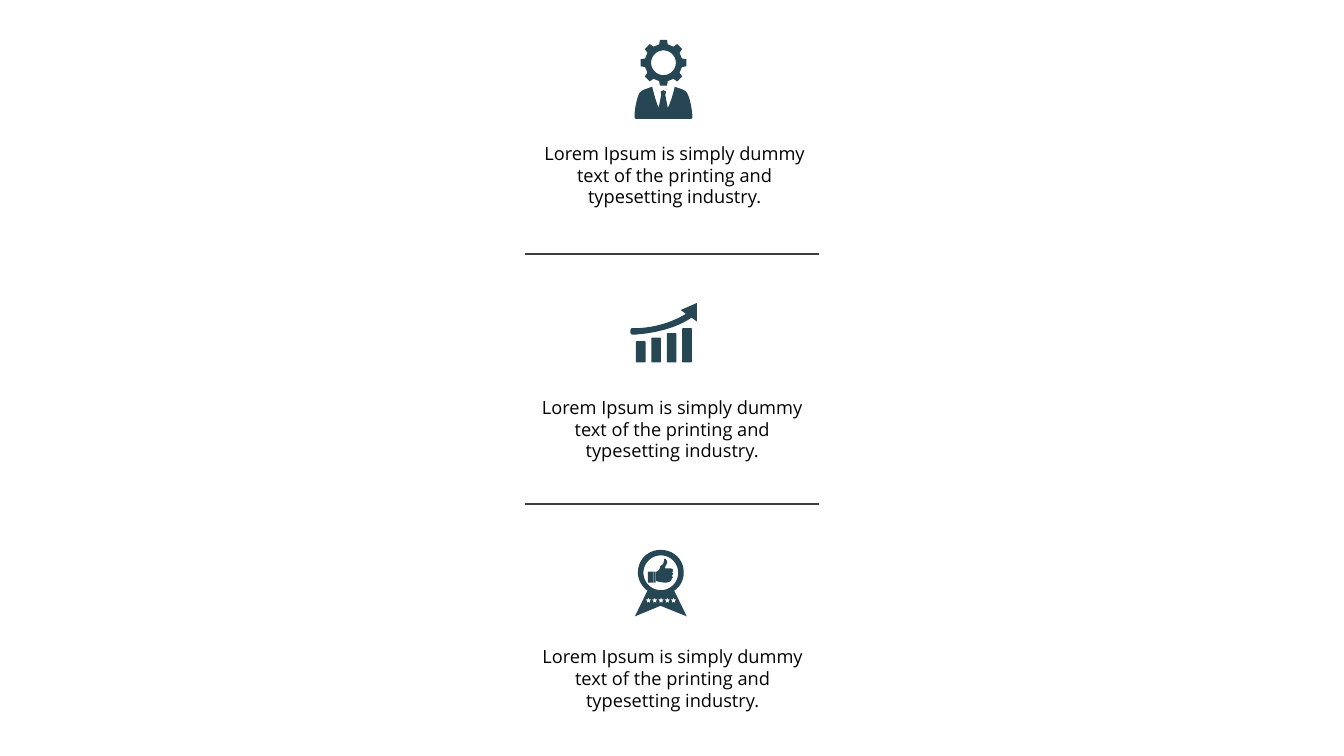
from math import cos, pi, sin

from pptx import Presentation
from pptx.dml.color import RGBColor
from pptx.enum.shapes import MSO_CONNECTOR
from pptx.enum.text import MSO_AUTO_SIZE, PP_ALIGN
from pptx.oxml.ns import qn
from pptx.util import Inches, Pt
from lxml.etree import SubElement

WIDTH, HEIGHT = Inches(26.67), Inches(15)
COLORS = {"icon": "264653", "rule": "3D3D3D", "text": "000000"}
BODY = "Lorem Ipsum is simply dummy text of the printing and typesetting industry."
TEXT_SPOTS = [(40.08, 18.47), (39.9, 52.07), (39.93, 85.07)]
RULE_ROWS = [33.6, 66.67]
DETAIL = 10
ICON_SCALE = Inches(1) / (100 * DETAIL)

SUIT = [
    (57, 100), (52, 103), (53, 109), (48, 135),
    (43, 124, 38, 105, 35, 93), (26, 97, 14, 98, 9, 107),
    (5, 116, 0, 136, 0, 152), (0, 155, 1, 157, 4, 157), (111, 157),
    (114, 157, 115, 155, 115, 152), (114, 136, 110, 116, 105, 107),
    (101, 98, 89, 97, 80, 93), (77, 105, 72, 124, 66, 135),
    (61, 109), (63, 103),
]
ARROW = [
    (7, 50), (7, 50, 59, 53, 111, 22), (101, 14), (133, 0), (133, 37),
    (122, 29), (122, 29, 89, 57, 10, 63), (10, 63, 1, 64, 1, 59),
    (1, 55, 0, 49, 7, 50),
]
RIBBON = [
    (78, 81), (90, 73, 97, 60, 97, 45), (97, 19, 77, 0, 51, 0),
    (26, 0, 6, 19, 6, 45), (6, 60, 14, 73, 25, 81),
    (0, 132), (51, 111), (103, 132),
]
THUMB = [
    (45, 63), (47, 63, 50, 64, 58, 65), (66, 65, 69, 64, 71, 61),
    (74, 60, 72, 58, 74, 56), (76, 56, 75, 54, 74, 52),
    (73, 50, 77, 48, 76, 47), (75, 46, 74, 45, 74, 44),
    (76, 42, 77, 42, 75, 39), (74, 37, 73, 37, 69, 37), (61, 37),
    (59, 37, 60, 33, 62, 30), (64, 27, 65, 24, 63, 21),
    (61, 17, 58, 17, 58, 19), (58, 22, 57, 28, 54, 30),
    (51, 31, 50, 33, 49, 38), (47, 42, 44, 43, 43, 43),
    (42, 43, 42, 45, 42, 47), (42, 60), (42, 62, 43, 62, 45, 63),
]


def col(share):
    return round(WIDTH * share / 100)


def row(share):
    return round(HEIGHT * share / 100)


def rgb(name):
    return RGBColor.from_string(COLORS[name])


def trace(outline, steps=10):
    points = []
    for node in outline:
        if len(node) == 2:
            points.append(node)
            continue
        ends = [points[-1], node[:2], node[2:4], node[4:]]
        for i in range(1, steps + 1):
            t = i / steps
            weights = [(1 - t) ** 3, 3 * t * (1 - t) ** 2, 3 * t * t * (1 - t), t ** 3]
            points.append(tuple(sum(w * e[k] for w, e in zip(weights, ends))
                                for k in (0, 1)))
    return points


def circle(cx, cy, r, n=60):
    return [(cx + r * cos(2 * pi * i / n), cy + r * sin(2 * pi * i / n))
            for i in range(n)]


def star(cx, cy, r):
    radii = (r, r * 0.45)
    return [(cx + radii[i % 2] * sin(pi * i / 5), cy - radii[i % 2] * cos(pi * i / 5))
            for i in range(10)]


def gear(cx, cy, teeth=8):
    tooth = [(-8.5, -36.5), (-7, -45.5), (7, -45.5), (8.5, -36.5)]
    angles = [2 * pi * i / teeth for i in range(teeth)]
    return [(cx + x * cos(a) - y * sin(a), cy + x * sin(a) + y * cos(a))
            for a in angles for x, y in tooth]


def rounded_bar(x, y, w, h, r):
    x2, y2 = x + w, y + h
    return trace([
        (x + r, y), (x2 - r, y), (x2, y, x2, y, x2, y + r),
        (x2, y2 - r), (x2, y2, x2, y2, x2 - r, y2),
        (x + r, y2), (x, y2, x, y2, x, y2 - r),
        (x, y + r), (x, y, x, y, x + r, y),
    ], steps=4)


def add_icon(shapes, left, top, contours):
    scaled = [[(x * DETAIL, y * DETAIL) for x, y in c] for c in contours]
    builder = shapes.build_freeform(*scaled[0][0], scale=ICON_SCALE)
    builder.add_line_segments(scaled[0][1:], close=True)
    for contour in scaled[1:]:
        builder.move_to(*contour[0])
        builder.add_line_segments(contour[1:], close=True)
    sp = builder.convert_to_shape(col(left), row(top))
    sp.shadow.inherit = False
    sp.fill.solid()
    sp.fill.fore_color.rgb = rgb("icon")
    sp.line.fill.background()


def add_manager(s):
    add_icon(s.shapes, 47.21, 5.27,
             [trace(SUIT), gear(57.5, 45.5), circle(57.5, 45.5, 24.5)])


def add_growth(s):
    group = s.shapes.add_group_shape()
    bars = [rounded_bar(12 + 30.6 * i, top, 19, 118 - top, 3)
            for i, top in enumerate([76, 69, 60, 50])]
    for contour in bars + [trace(ARROW)]:
        add_icon(group.shapes, 46.87, 40.07, [contour])


def add_award(s):
    stars = [star(27 + 12.45 * i, 100.5, 6) for i in range(5)]
    cuffs = [rounded_bar(x, 43, w, 22, 2) for x, w in [(26, 10), (37, 4)]]
    add_icon(s.shapes, 47.24, 72.73,
             [trace(RIBBON), circle(51.5, 45.5, 34.5), trace(THUMB)] + stars + cuffs)


def add_rule(s, y):
    line = s.shapes.add_connector(MSO_CONNECTOR.STRAIGHT,
                                  col(39.03), row(y), col(60.97), row(y))
    line.line.color.rgb = rgb("rule")
    line.line.width = Pt(2.38)
    SubElement(line._element.spPr, qn("a:effectLst"))


def add_caption(s, left, top):
    tf = s.shapes.add_textbox(col(left), row(top), col(20.25), row(9.4)).text_frame
    for name, value in {"word_wrap": True,
                        "auto_size": MSO_AUTO_SIZE.SHAPE_TO_FIT_TEXT}.items():
        setattr(tf, name, value)
    p = tf.paragraphs[0]
    p.alignment = PP_ALIGN.CENTER
    r = p.add_run()
    r.text = BODY
    for name, value in {"name": "Open Sans", "size": Pt(26)}.items():
        setattr(r.font, name, value)
    r.font.color.rgb = rgb("text")


def main():
    prs = Presentation()
    prs.slide_width, prs.slide_height = WIDTH, HEIGHT
    s = prs.slides.add_slide(prs.slide_layouts[6])
    for y in RULE_ROWS:
        add_rule(s, y)
    for left, top in TEXT_SPOTS:
        add_caption(s, left, top)
    for draw in (add_award, add_growth, add_manager):
        draw(s)
    prs.save("out.pptx")


if __name__ == "__main__":
    main()
